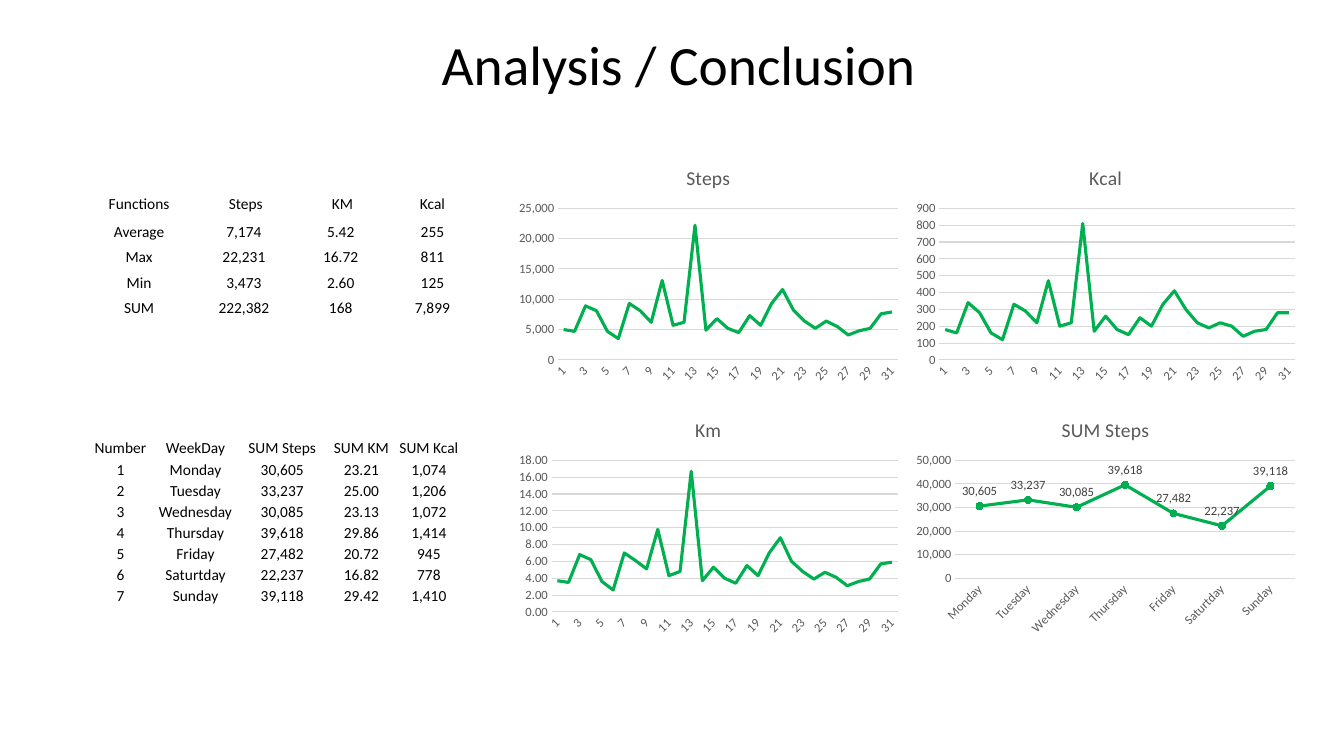
from dataclasses import dataclass

from pptx import Presentation, util as u
from pptx.chart.data import CategoryChartData
from pptx.dml.color import RGBColor
from pptx.enum import chart as charts, text

FONT = "Calibri"
BLACK = RGBColor(0x00, 0x00, 0x00)
GREEN = RGBColor(0x00, 0xB0, 0x50)
GRAY = RGBColor(0x59, 0x59, 0x59)
DARK_GRAY = RGBColor(0x40, 0x40, 0x40)
LIGHT_GRAY = RGBColor(0xD9, 0xD9, 0xD9)

# Chart grid, in inches
GRID_LEFT, GRID_TOP = 5.07, 1.49
COLUMN_STEP, ROW_STEP = 3.94, 2.5
CHART_WIDTH, CHART_HEIGHT = 3.91, 2.36
TABLE_LEFT = 0.86

DAYS = tuple(str(day) for day in range(1, 32))


@dataclass(frozen=True)
class TableBlock:
    top: float
    row_height: float
    column_widths: tuple[float, ...]
    rows: tuple[tuple[str, ...], ...]
    body_anchor: text.MSO_ANCHOR


@dataclass(frozen=True)
class LineChart:
    title: str
    column: int
    row: int
    categories: tuple[str, ...]
    values: tuple[float, ...]
    number_format: str = "#,##0"
    starts_on_axis: bool = False
    marked: bool = False
    major_unit: float | None = None


FUNCTIONS = TableBlock(1.9, 0.25, (1.04, 1.04, 0.88, 0.94), (
    ("Functions", " Steps", " KM", "Kcal"),
    ("Average", "7,174", "5.42", "255"),
    ("Max", "22,231", "16.72", "811"),
    ("Min", "3,473", "2.60", "125"),
    ("SUM", "222,382", "168", "7,899"),
), text.MSO_ANCHOR.BOTTOM)

WEEKDAYS = TableBlock(4.34, 0.21, (0.67, 0.82, 0.9, 0.67, 0.67), (
    ("Number", "WeekDay", "SUM Steps", "SUM KM", "SUM Kcal"),
    ("1", "Monday", "30,605", "23.21", "1,074"),
    ("2", "Tuesday", "33,237", "25.00", "1,206"),
    ("3", "Wednesday", "30,085", "23.13", "1,072"),
    ("4", "Thursday", "39,618", "29.86", "1,414"),
    ("5", "Friday", "27,482", "20.72", "945"),
    ("6", "Saturtday", "22,237", "16.82", "778"),
    ("7", "Sunday", "39,118", "29.42", "1,410"),
), text.MSO_ANCHOR.MIDDLE)

LINE_CHARTS = (
    LineChart("Steps", 0, 0, DAYS, (
        5000, 4700, 8900, 8100, 4700, 3500, 9300, 8100, 6200, 13100, 5700,
        6200, 22200, 4900, 6800, 5200, 4500, 7300, 5700, 9300, 11600, 8200,
        6400, 5200, 6400, 5500, 4100, 4800, 5200, 7600, 7900)),
    LineChart("Kcal", 1, 0, DAYS, (
        180, 160, 340, 280, 160, 120, 330, 290, 220, 470, 200,
        220, 810, 170, 260, 180, 150, 250, 200, 330, 410, 300,
        220, 190, 220, 200, 140, 170, 180, 280, 280)),
    LineChart("Km", 0, 1, DAYS, (
        3.7, 3.5, 6.8, 6.2, 3.6, 2.6, 7, 6.1, 5.1, 9.8, 4.3,
        4.8, 16.7, 3.7, 5.3, 4, 3.4, 5.5, 4.3, 7, 8.8, 6,
        4.8, 3.9, 4.7, 4.1, 3.1, 3.6, 3.9, 5.7, 5.9),
        number_format="#,##0.00", starts_on_axis=True),
    LineChart("SUM Steps", 1, 1, tuple(row[1] for row in WEEKDAYS.rows[1:]),
              tuple(int(row[2].replace(",", "")) for row in WEEKDAYS.rows[1:]),
              marked=True, major_unit=10000),
)


def style_font(font, size: float, color: RGBColor) -> None:
    font.name, font.size, font.bold = FONT, u.Pt(size), False
    font.color.rgb = color


def style_line(line, color: RGBColor, width: float) -> None:
    line.color.rgb, line.width = color, u.Pt(width)


def add_run(paragraph, words: str, size: float, color: RGBColor) -> None:
    run = paragraph.add_run()
    run.text = words
    style_font(run.font, size, color)


def draw_title(slide, words: str) -> None:
    title = slide.shapes.title
    title.left, title.top = u.Inches(4.28), u.Inches(0.3)
    title.width, title.height = u.Inches(5.49), u.Inches(0.75)
    frame = title.text_frame
    frame.auto_size = text.MSO_AUTO_SIZE.NONE
    frame.vertical_anchor = text.MSO_ANCHOR.MIDDLE
    paragraph = frame.paragraphs[0]
    paragraph.alignment, paragraph.line_spacing = text.PP_ALIGN.LEFT, 0.9
    add_run(paragraph, words, 39.6, BLACK)


def draw_table(slide, block: TableBlock) -> None:
    table = slide.shapes.add_table(
        len(block.rows), len(block.column_widths),
        u.Inches(TABLE_LEFT), u.Inches(block.top),
        u.Inches(sum(block.column_widths)),
        u.Inches(block.row_height * len(block.rows))).table
    table.first_row = table.horz_banding = False
    for column, width in zip(table.columns, block.column_widths):
        column.width = u.Inches(width)
    for index, words in enumerate(block.rows):
        table.rows[index].height = u.Inches(block.row_height)
        for cell, word in zip(table.rows[index].cells, words):
            cell.fill.background()
            cell.margin_left = cell.margin_right = cell.margin_top = u.Inches(0.01)
            cell.margin_bottom = 0
            cell.vertical_anchor = block.body_anchor if index else text.MSO_ANCHOR.MIDDLE
            paragraph = cell.text_frame.paragraphs[0]
            paragraph.alignment = text.PP_ALIGN.CENTER
            add_run(paragraph, word, 11, BLACK)


def style_axes(chart, item: LineChart) -> None:
    categories, values = chart.category_axis, chart.value_axis
    for axis in (categories, values):
        axis.major_tick_mark = axis.minor_tick_mark = charts.XL_TICK_MARK.NONE
        style_font(axis.tick_labels.font, 9, GRAY)
    style_line(categories.format.line, LIGHT_GRAY, 0.75)
    categories.has_major_gridlines = False
    # Slant the category labels upwards by 45 degrees
    categories._element.txPr.bodyPr.set("rot", "-2700000")
    values.format.line.fill.background()
    style_line(values.major_gridlines.format.line, LIGHT_GRAY, 0.75)
    values.tick_labels.number_format = item.number_format
    values.tick_labels.number_format_is_linked = False
    if item.major_unit:
        values.major_unit = item.major_unit
    if item.starts_on_axis:
        for crossing in values._element.xpath("c:crossBetween"):
            crossing.set("val", "midCat")


def draw_chart(slide, item: LineChart) -> None:
    data = CategoryChartData(number_format=item.number_format)
    data.categories = item.categories
    data.add_series(item.title, item.values)
    kind = charts.XL_CHART_TYPE.LINE_MARKERS if item.marked else charts.XL_CHART_TYPE.LINE
    chart = slide.shapes.add_chart(
        kind, u.Inches(GRID_LEFT + item.column * COLUMN_STEP),
        u.Inches(GRID_TOP + item.row * ROW_STEP),
        u.Inches(CHART_WIDTH), u.Inches(CHART_HEIGHT), data).chart
    style_font(chart.font, 10, BLACK)
    chart.has_legend = False
    chart.has_title = True
    add_run(chart.chart_title.text_frame.paragraphs[0], item.title, 14, GRAY)
    chart.chart_title.include_in_layout = False
    style_axes(chart, item)

    plot = chart.plots[0]
    plot.vary_by_categories = False
    series = plot.series[0]
    series.smooth = False
    style_line(series.format.line, GREEN, 2.25)
    if not item.marked:
        series.marker.style = charts.XL_MARKER_STYLE.NONE
        return
    series.marker.style, series.marker.size = charts.XL_MARKER_STYLE.CIRCLE, 5
    series.marker.format.fill.solid()
    series.marker.format.fill.fore_color.rgb = GREEN
    style_line(series.marker.format.line, GREEN, 0.75)
    labels = series.data_labels
    labels.show_value = True
    labels.position = charts.XL_LABEL_POSITION.ABOVE
    labels.number_format, labels.number_format_is_linked = item.number_format, False
    style_font(labels.font, 9, DARK_GRAY)


presentation = Presentation()
presentation.slide_width, presentation.slide_height = u.Inches(13.33), u.Inches(7.5)
slide = presentation.slides.add_slide(presentation.slide_layouts.get_by_name("Title Only"))

draw_title(slide, "Analysis / Conclusion")
for block in (FUNCTIONS, WEEKDAYS):
    draw_table(slide, block)
for item in LINE_CHARTS:
    draw_chart(slide, item)

presentation.save("out.pptx")
